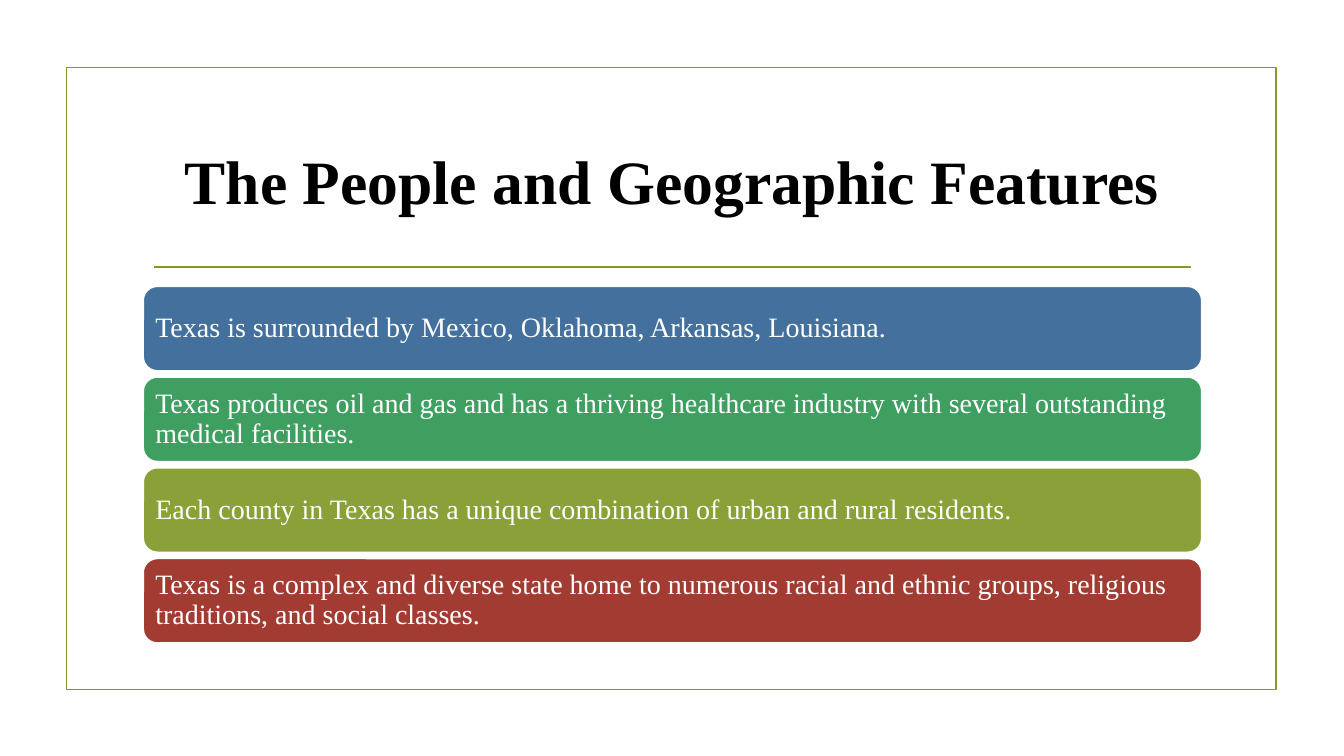
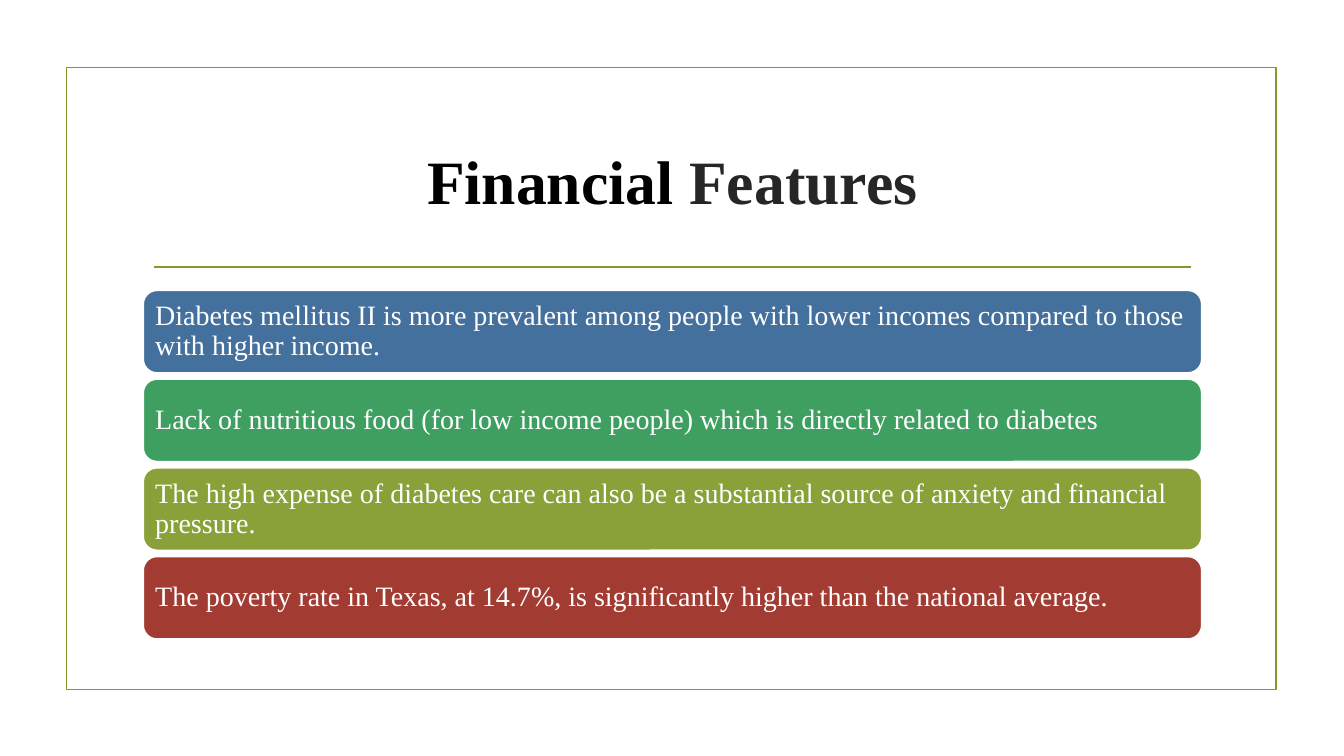
import pptx
import pptx.util
import pptx.dml.color
import pptx.enum.shapes
import pptx.enum.text
import pptx.oxml

Inches = pptx.util.Inches
Pt = pptx.util.Pt
SHAPES = pptx.enum.shapes.MSO_SHAPE
ALIGN = pptx.enum.text.PP_ALIGN
MIDDLE = pptx.enum.text.MSO_ANCHOR.MIDDLE

FONT = "Times New Roman"
LINE_WIDTH = Pt(1.25)
COLORS = {
    "frame": "83992A",
    "title": "000000",
    "title_soft": "262626",
    "white": "FFFFFF",
    "blue": "44709D",
    "green": "3E9F61",
    "olive": "89A138",
    "red": "A23C33",
}
BAND_COLORS = ["blue", "green", "olive", "red"]
BAND_GAP = 0.06
BAND_INSET = 0.08

# Boxes are left, top, width, height in inches.
FRAME_BOX = (0.66, 0.67, 12, 6.17)
TITLE_BOX = (1.42, 1.07, 10.5, 1.43)
RULE_LEFT, RULE_RIGHT, RULE_TOP = 1.53, 11.81, 2.65

SLIDES = [
    {
        "title": [("The People and Geographic Features", "title")],
        "bands_box": (1.42, 2.84, 10.5, 3.54),
        "bands": [
            "Texas is surrounded by Mexico, Oklahoma, Arkansas, Louisiana.",
            "Texas produces oil and gas and has a thriving healthcare industry "
            "with several outstanding medical facilities.",
            "Each county in Texas has a unique combination of urban and rural residents.",
            "Texas is a complex and diverse state home to numerous racial and ethnic "
            "groups, religious traditions, and social classes.",
        ],
    },
    {
        "title": [("Financial ", "title"), ("Features", "title_soft")],
        "bands_box": (1.42, 2.88, 10.5, 3.46),
        "bands": [
            "Diabetes mellitus II is more prevalent among people with lower incomes "
            "compared to those with higher income.",
            "Lack of nutritious food (for low income people) which is directly "
            "related to diabetes",
            "The high expense of diabetes care can also be a substantial source of "
            "anxiety and financial pressure.",
            "The poverty rate in Texas, at 14.7%, is significantly higher than the "
            "national average.",
        ],
    },
]


def rgb(name):
    return pptx.dml.color.RGBColor.from_string(COLORS[name])


def set_line(line, color):
    line.color.rgb = rgb(color)
    line.width = LINE_WIDTH


def add_frame(page):
    """Draw the border and the rule under the title, shared by all slides."""
    frame = page.shapes.add_shape(SHAPES.RECTANGLE, *map(Inches, FRAME_BOX))
    frame.shadow.inherit = False
    frame.fill.background()
    set_line(frame.line, "frame")

    rule = page.shapes.add_connector(
        pptx.enum.shapes.MSO_CONNECTOR.STRAIGHT,
        Inches(RULE_LEFT), Inches(RULE_TOP), Inches(RULE_RIGHT), Inches(RULE_TOP),
    )
    set_line(rule.line, "frame")
    properties = rule.element.spPr
    properties.append(pptx.oxml.parse_xml(
        '<a:effectLst xmlns:a="http://schemas.openxmlformats.org/drawingml/2006/main"/>'
    ))


def add_title(page, parts):
    frame = page.shapes.add_textbox(*map(Inches, TITLE_BOX)).text_frame
    frame.word_wrap = True
    frame.vertical_anchor = MIDDLE
    para = frame.paragraphs[0]
    para.alignment = ALIGN.CENTER
    para.font.name = FONT
    para.font.size = Pt(44)
    para.font.bold = True
    for text, color in parts:
        span = para.add_run()
        span.text = text
        span.font.color.rgb = rgb(color)


def add_band(page, box, text, color):
    band = page.shapes.add_shape(SHAPES.ROUNDED_RECTANGLE, *map(Inches, box))
    band.shadow.inherit = False
    band.fill.solid()
    band.fill.fore_color.rgb = rgb(color)
    set_line(band.line, "white")

    frame = band.text_frame
    frame.word_wrap = True
    frame.vertical_anchor = MIDDLE
    frame.margin_left = frame.margin_right = Inches(BAND_INSET)
    frame.margin_top = frame.margin_bottom = Inches(BAND_INSET)
    para = frame.paragraphs[0]
    para.text = text
    para.alignment = ALIGN.LEFT
    para.line_spacing = 0.9
    para.font.name = FONT
    para.font.size = Pt(20)
    para.font.color.rgb = rgb("white")


def add_bands(page, box, texts):
    """Stack equal bands with equal gaps to fill the box."""
    left, top, width, height = box
    band_height = (height - BAND_GAP * (len(texts) - 1)) / len(texts)
    for index, (text, color) in enumerate(zip(texts, BAND_COLORS)):
        band_top = top + index * (band_height + BAND_GAP)
        add_band(page, (left, band_top, width, band_height), text, color)


def add_page(deck, content):
    page = deck.slides.add_slide(deck.slide_layouts[6])
    add_frame(page)
    add_title(page, content["title"])
    add_bands(page, content["bands_box"], content["bands"])


def main():
    deck = pptx.Presentation()
    deck.slide_width = Inches(13.33)
    deck.slide_height = Inches(7.5)
    for content in SLIDES:
        add_page(deck, content)
    deck.save("out.pptx")


if __name__ == "__main__":
    main()
